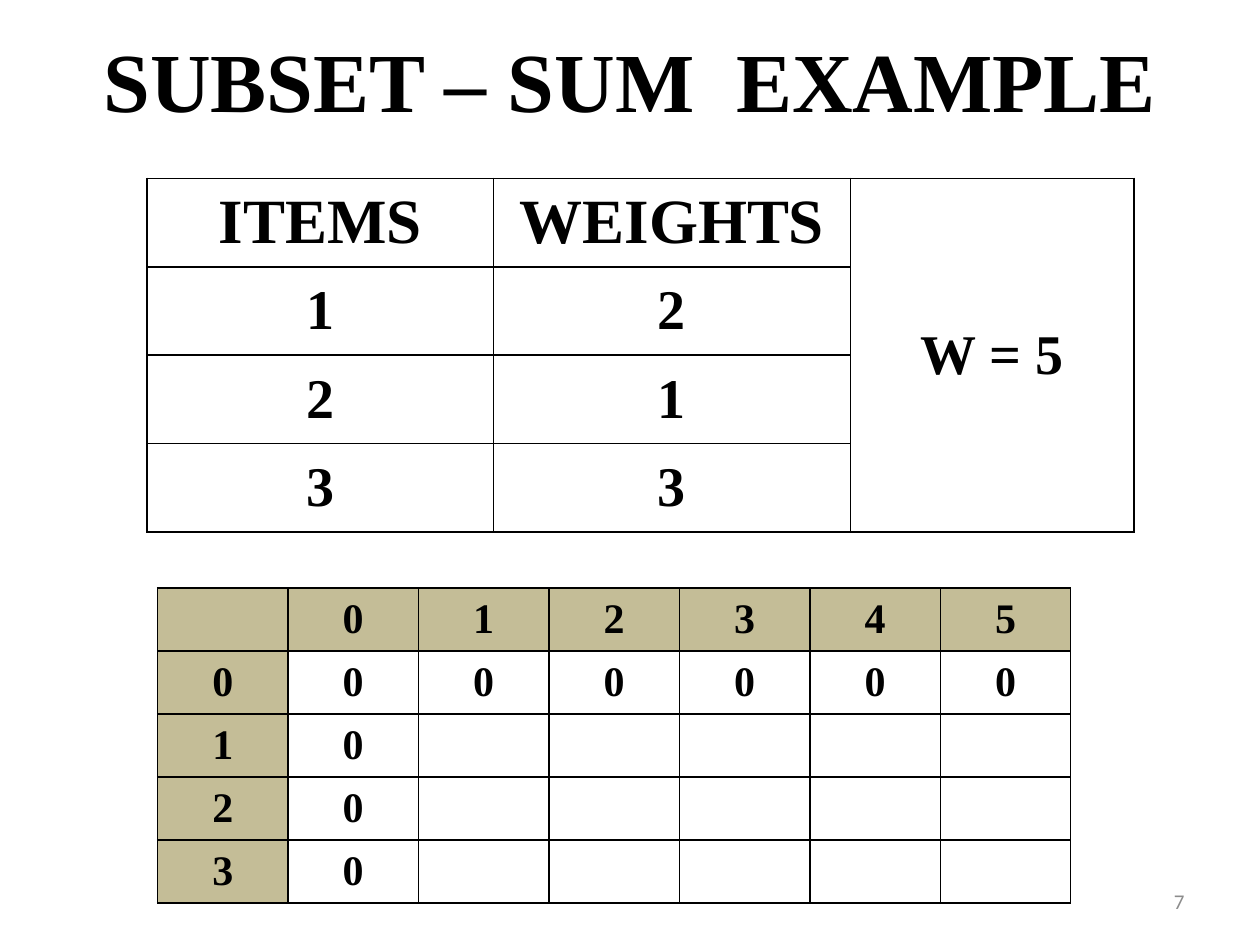
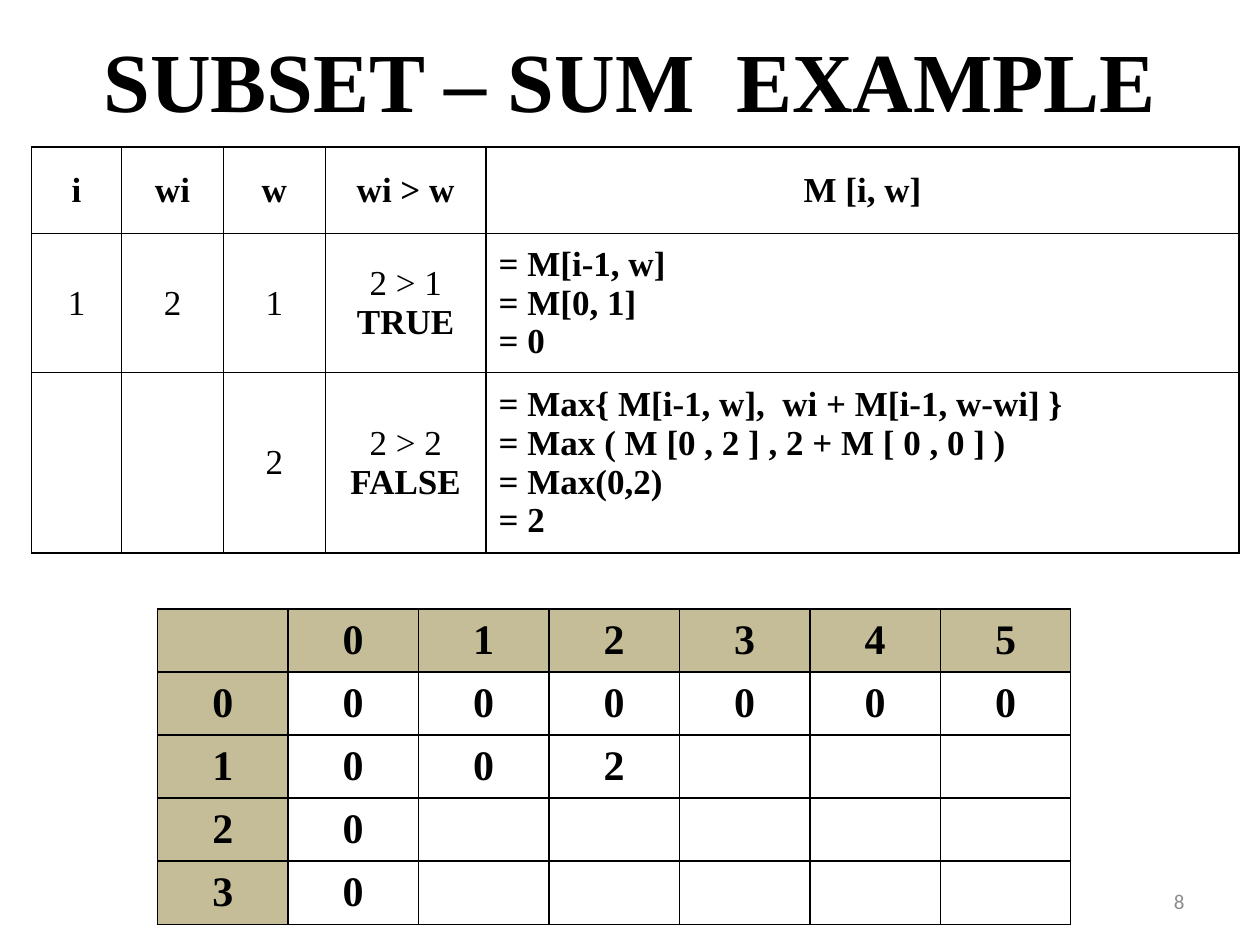
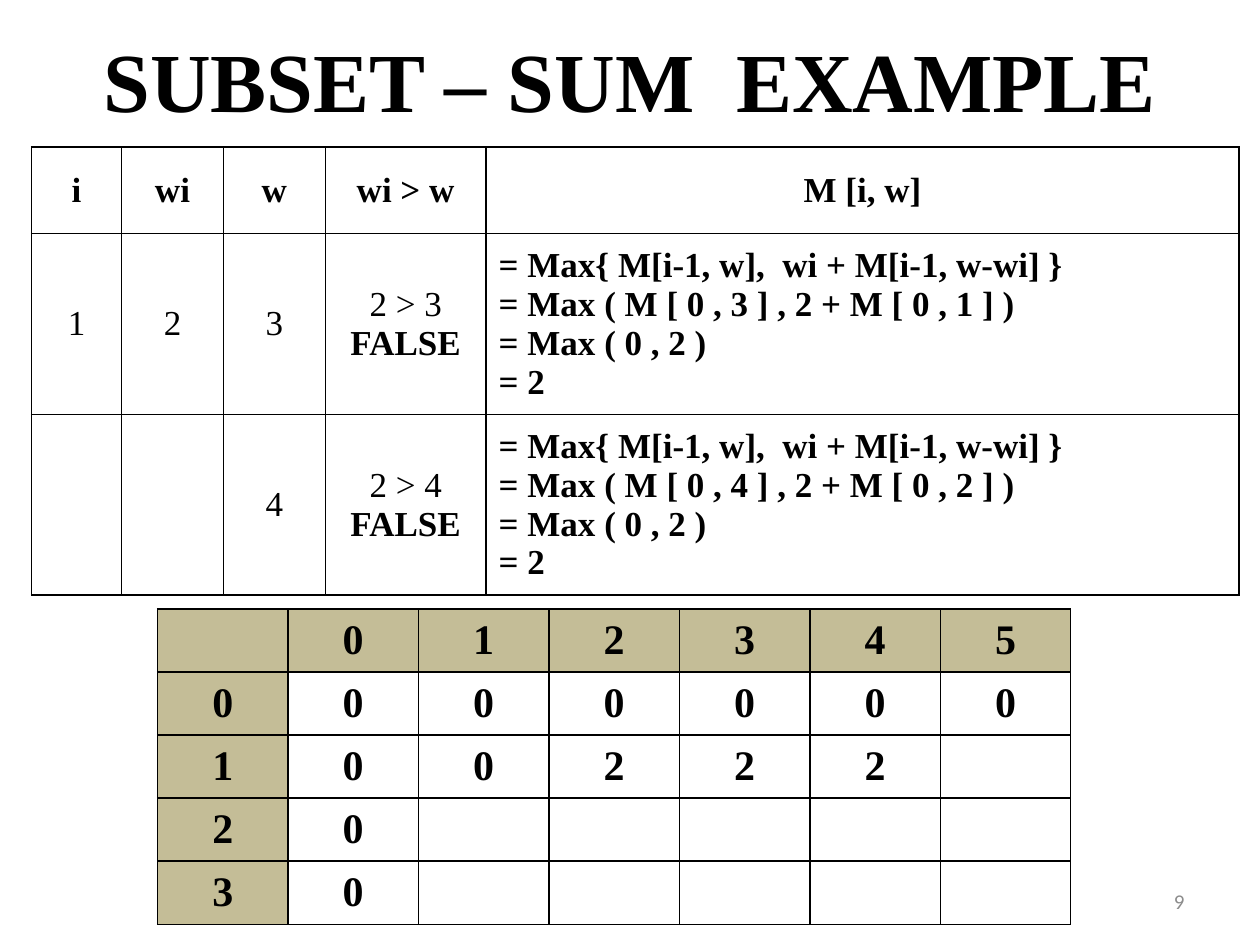
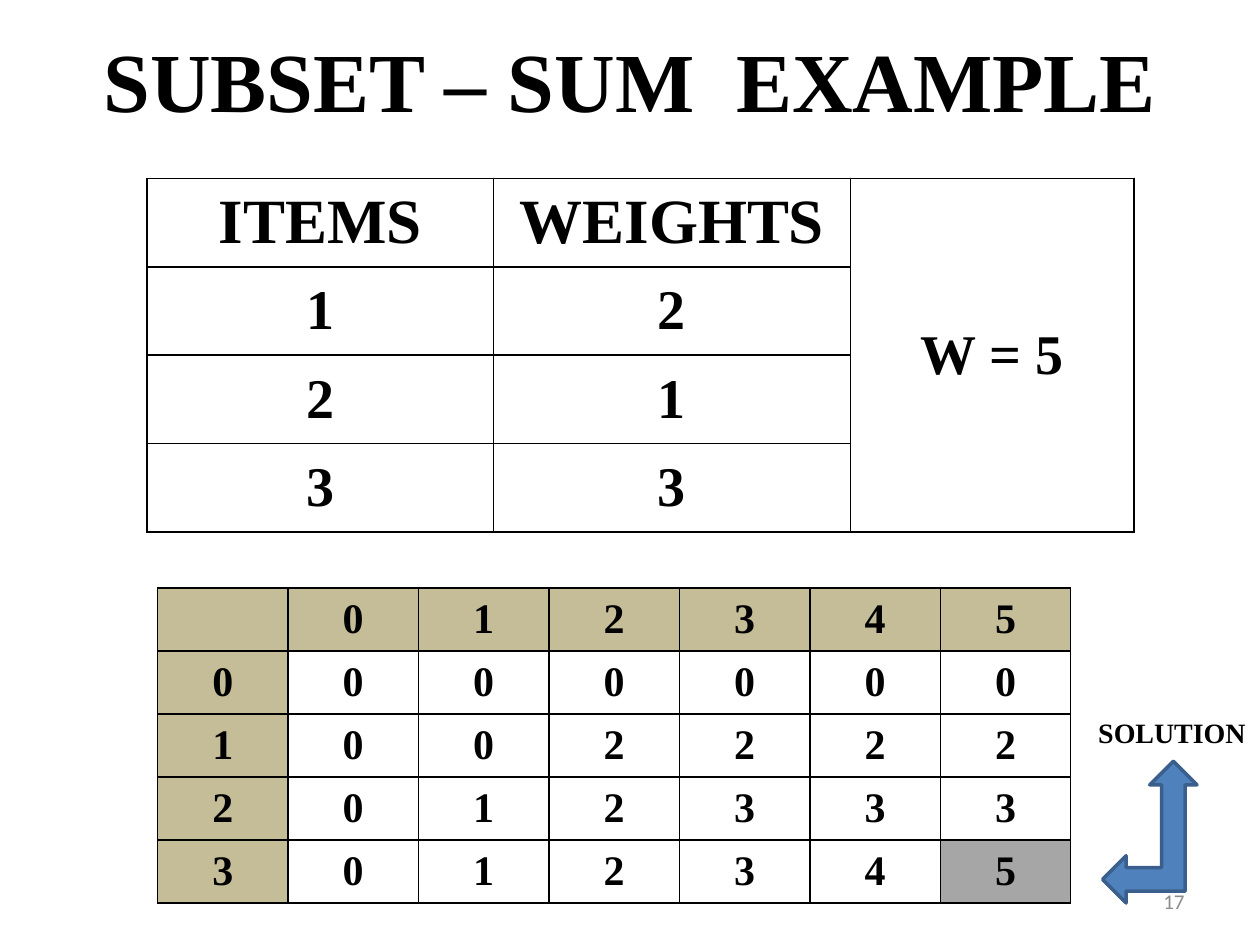
from lxml import etree
from pptx import Presentation
from pptx.dml.color import RGBColor
from pptx.enum import shapes, text
from pptx.oxml import ns
from pptx.util import Pt

TITLE = "SUBSET – SUM  EXAMPLE"
ITEMS = [["ITEMS", "WEIGHTS", "W = 5"], ["1", "2", ""], ["2", "1", ""], ["3", "3", ""]]
STEP_HEADER = ["i", "wi", "w", "wi > w", "M [i, w]"]
MAX_RULE = "= Max{ M[i-1, w],  wi + M[i-1, w-wi] }"
CAPACITIES = ["0", "1", "2", "3", "4", "5"]
ZEROS = [0] * 6

SLIDES = [
    {"number": "7", "sums": [ZEROS, [0], [0], [0]]},
    {"number": "8", "sums": [ZEROS, [0, 0, 2], [0], [0]], "height": 232, "steps": [
        ["1", "2", "1", "2 > 1\nTRUE", "= M[i-1, w]\n= M[0, 1]\n= 0"],
        ["", "", "2", "2 > 2\nFALSE",
         MAX_RULE + "\n= Max ( M [0 , 2 ] , 2 + M [ 0 , 0 ] )\n= Max(0,2)\n= 2"]]},
    {"number": "9", "sums": [ZEROS, [0, 0, 2, 2, 2], [0], [0]], "height": 255.6, "steps": [
        ["1", "2", "3", "2 > 3\nFALSE",
         MAX_RULE + "\n= Max ( M [ 0 , 3 ] , 2 + M [ 0 , 1 ] )\n= Max ( 0 , 2 )\n= 2"],
        ["", "", "4", "2 > 4\nFALSE",
         MAX_RULE + "\n= Max ( M [ 0 , 4 ] , 2 + M [ 0 , 2 ] )\n= Max ( 0 , 2 )\n= 2"]]},
    {"number": "17", "solution": "SOLUTION",
     "sums": [ZEROS, [0, 0, 2, 2, 2, 2], [0, 1, 2, 3, 3, 3], [0, 1, 2, 3, 4, 5]]},
]

BLACK = RGBColor(0x00, 0x00, 0x00)
NUMBER_GREY = RGBColor(0x8C, 0x8C, 0x8C)
HEADER_TAN = RGBColor(0xC4, 0xBD, 0x97)
ANSWER_GREY = RGBColor(0xA6, 0xA6, 0xA6)
ARROW_BLUE = RGBColor(0x4F, 0x81, 0xBD)
ARROW_EDGE = RGBColor(0x3A, 0x5F, 0x8C)
SERIF = "Times New Roman"
CENTER = text.PP_ALIGN.CENTER
MIDDLE = text.MSO_ANCHOR.MIDDLE


def points(*lengths):
    return [Pt(length) for length in lengths]


def write(paragraph, words, size, bold=True, align=CENTER, name=SERIF, color=BLACK):
    paragraph.alignment = align
    run = paragraph.add_run()
    run.text = words
    for attribute, value in {"size": Pt(size), "bold": bold, "name": name}.items():
        setattr(run.font, attribute, value)
    run.font.color.rgb = color


def outline(cell):
    properties = cell._tc.get_or_add_tcPr()
    for position, side in enumerate(("lnL", "lnR", "lnT", "lnB")):
        edge = etree.Element(ns.qn("a:" + side), w=str(Pt(1)))
        fill = etree.SubElement(edge, ns.qn("a:solidFill"))
        etree.SubElement(fill, ns.qn("a:srgbClr"), val=str(BLACK))
        properties.insert(position, edge)


def add_grid(slide, rows, left, top, widths, row_height, height, style):
    frame = slide.shapes.add_table(len(rows), len(widths),
                                   *points(left, top, sum(widths), height))
    grid = frame.table
    for column, width in zip(grid.columns, widths):
        column.width = Pt(width)
    for r, row in enumerate(rows):
        grid.rows[r].height = Pt(row_height)
        for c, words in enumerate(row):
            cell = grid.cell(r, c)
            cell.vertical_anchor = MIDDLE
            cell.fill.background()
            outline(cell)
            if words:
                for n, line in enumerate(words.split("\n")):
                    paragraphs = cell.text_frame
                    paragraph = paragraphs.add_paragraph() if n else paragraphs.paragraphs[0]
                    write(paragraph, line, **style(r, c, line))
    frame.height = Pt(height)
    return grid


def item_style(r, c, line):
    return {"size": 36 if r == 0 and c < 2 else 32}


def step_style(r, c, line):
    return {"size": 20, "bold": not line[0].isdigit(),
            "align": text.PP_ALIGN.LEFT if r and c == 4 else CENTER}


def sum_style(r, c, line):
    return {"size": 24}


def add_items(slide):
    items = add_grid(slide, ITEMS, 84, 102, [198, 204, 162], 50.5, 202, item_style)
    items.cell(0, 2).merge(items.cell(3, 2))


def add_sums(slide, sums, top):
    rows = [[""] + CAPACITIES]
    for item, known in enumerate(sums):
        values = [str(item)] + [str(value) for value in known]
        rows.append(values + [""] * (7 - len(values)))
    grid = add_grid(slide, rows, 90, top, [74.57] * 7, 29.6, 180, sum_style)
    for r in range(5):
        for c in range(7):
            if r == 0 or c == 0:
                grid.cell(r, c).fill.solid()
                grid.cell(r, c).fill.fore_color.rgb = HEADER_TAN
    return grid


def add_label(slide, box, words, anchor, **style):
    label = slide.shapes.add_textbox(*points(*box)).text_frame
    label.word_wrap = True
    label.vertical_anchor = anchor
    write(label.paragraphs[0], words, **style)


def add_solution(slide, words, sums):
    answer = sums.cell(4, 6).fill
    answer.solid()
    answer.fore_color.rgb = ANSWER_GREY
    add_label(slide, (620.5, 405.5, 99.5, 26.6), words, text.MSO_ANCHOR.TOP,
              size=16, align=text.PP_ALIGN.LEFT)
    arrow = slide.shapes.add_shape(shapes.MSO_SHAPE.LEFT_UP_ARROW,
                                   *points(630, 435, 54, 81))
    arrow.shadow.inherit = False
    arrow.fill.solid()
    arrow.fill.fore_color.rgb = ARROW_BLUE
    arrow.line.color.rgb = ARROW_EDGE
    arrow.line.width = Pt(2)


def add_slide(deck, content):
    slide = deck.slides.add_slide(deck.slide_layouts[5])
    title = slide.shapes.title
    for side, length in zip(("left", "top", "width", "height"), points(36, 6, 648, 78)):
        setattr(title, side, length)
    title.text_frame.vertical_anchor = MIDDLE
    write(title.text_frame.paragraphs[0], TITLE, 48)
    add_label(slide, (516, 500.5, 168, 28.75), content["number"], MIDDLE, size=12,
              bold=False, align=text.PP_ALIGN.RIGHT, name="Calibri", color=NUMBER_GREY)
    if "steps" in content:
        add_sums(slide, content["sums"], 348)
        add_grid(slide, [STEP_HEADER] + content["steps"], 18, 84,
                 [51.5, 58.2, 58.2, 91.9, 430.2], 49.6, content["height"], step_style)
    else:
        add_items(slide)
        sums = add_sums(slide, content["sums"], 336)
        if "solution" in content:
            add_solution(slide, content["solution"], sums)


def main():
    deck = Presentation()
    deck.slide_width, deck.slide_height = points(720, 540)
    for content in SLIDES:
        add_slide(deck, content)
    deck.save("out.pptx")


if __name__ == "__main__":
    main()
